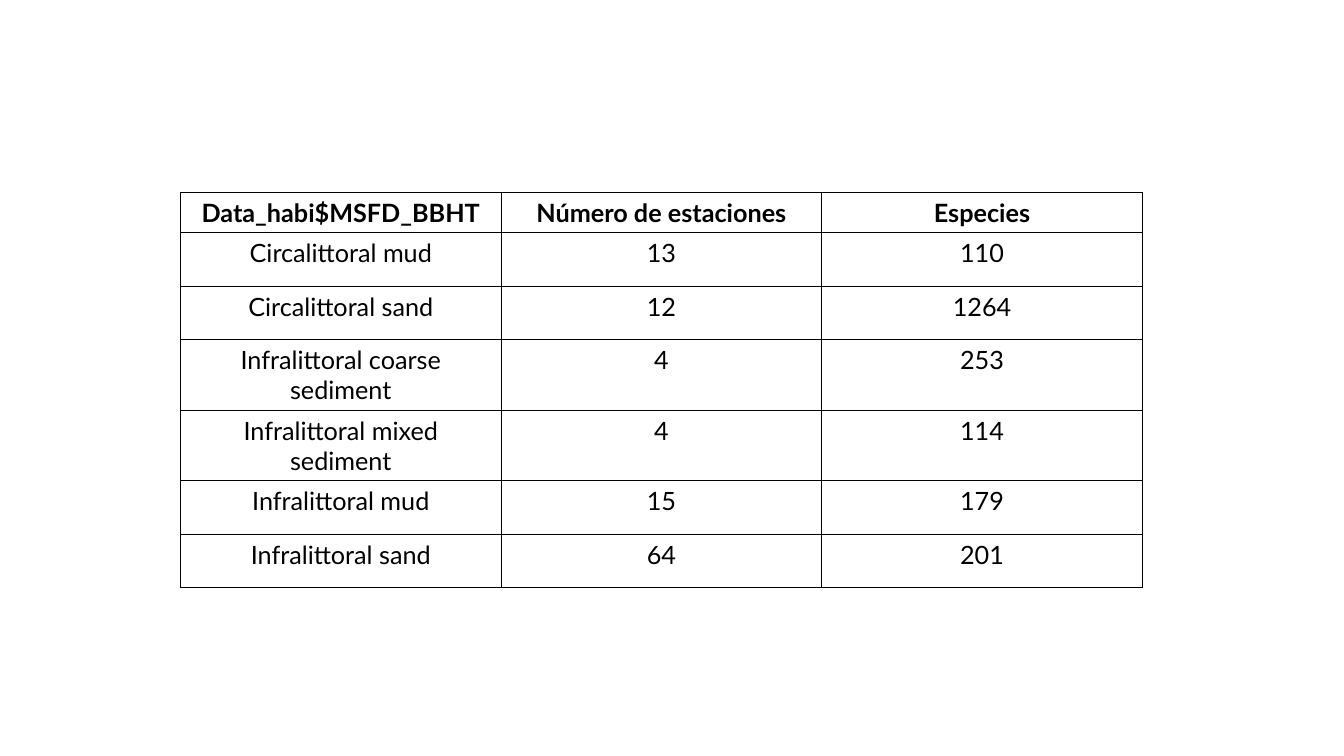
from typing import NamedTuple

from lxml.etree import SubElement
from pptx import Presentation
from pptx.dml.color import RGBColor
from pptx.enum.text import PP_ALIGN
from pptx.oxml.ns import qn
from pptx.table import _Cell as Cell
from pptx.util import Inches, Pt

BLACK = RGBColor(0, 0, 0)
FONT = "Lato"
COL_WIDTH = Inches(3.18)
HEADER_HEIGHT = Inches(0.27)
ROW_HEIGHT = Inches(0.53)


class Habitat(NamedTuple):
    name: str
    stations: int
    species: int


HEADERS = ("Data_habi$MSFD_BBHT", "Número de estaciones", "Especies")
HABITATS = [
    Habitat("Circalittoral mud", 13, 110),
    Habitat("Circalittoral sand", 12, 1264),
    Habitat("Infralittoral coarse sediment", 4, 253),
    Habitat("Infralittoral mixed sediment", 4, 114),
    Habitat("Infralittoral mud", 15, 179),
    Habitat("Infralittoral sand", 64, 201),
]


def add_borders(cell: Cell) -> None:
    tc_pr = cell._tc.get_or_add_tcPr()
    for side in ("a:lnL", "a:lnR", "a:lnT", "a:lnB"):
        ln = SubElement(tc_pr, qn(side), w=str(Pt(1)))
        fill = SubElement(ln, qn("a:solidFill"))
        SubElement(fill, qn("a:srgbClr"), val=str(BLACK))


def fill_cell(cell: Cell, text: str, bold: bool) -> None:
    add_borders(cell)
    cell.fill.background()
    cell.text = text
    p = cell.text_frame.paragraphs[0]
    p.alignment = PP_ALIGN.CENTER
    p.font.name = FONT
    p.font.size = Pt(18)
    p.font.bold = bold
    p.font.color.rgb = BLACK


def main() -> None:
    prs = Presentation()
    prs.slide_width, prs.slide_height = Inches(13.33), Inches(7.5)
    s = prs.slides.add_slide(prs.slide_layouts[6])

    rows = [HEADERS, *HABITATS]
    table = s.shapes.add_table(
        len(rows), len(HEADERS), Inches(1.79), Inches(1.91),
        COL_WIDTH * len(HEADERS), HEADER_HEIGHT + ROW_HEIGHT * len(HABITATS),
    ).table
    table.horz_banding = False
    for col in table.columns:
        col.width = COL_WIDTH
    for i, row in enumerate(rows):
        table.rows[i].height = ROW_HEIGHT if i else HEADER_HEIGHT
        for j, value in enumerate(row):
            fill_cell(table.cell(i, j), str(value), bold=i == 0)

    prs.save("out.pptx")


if __name__ == "__main__":
    main()
